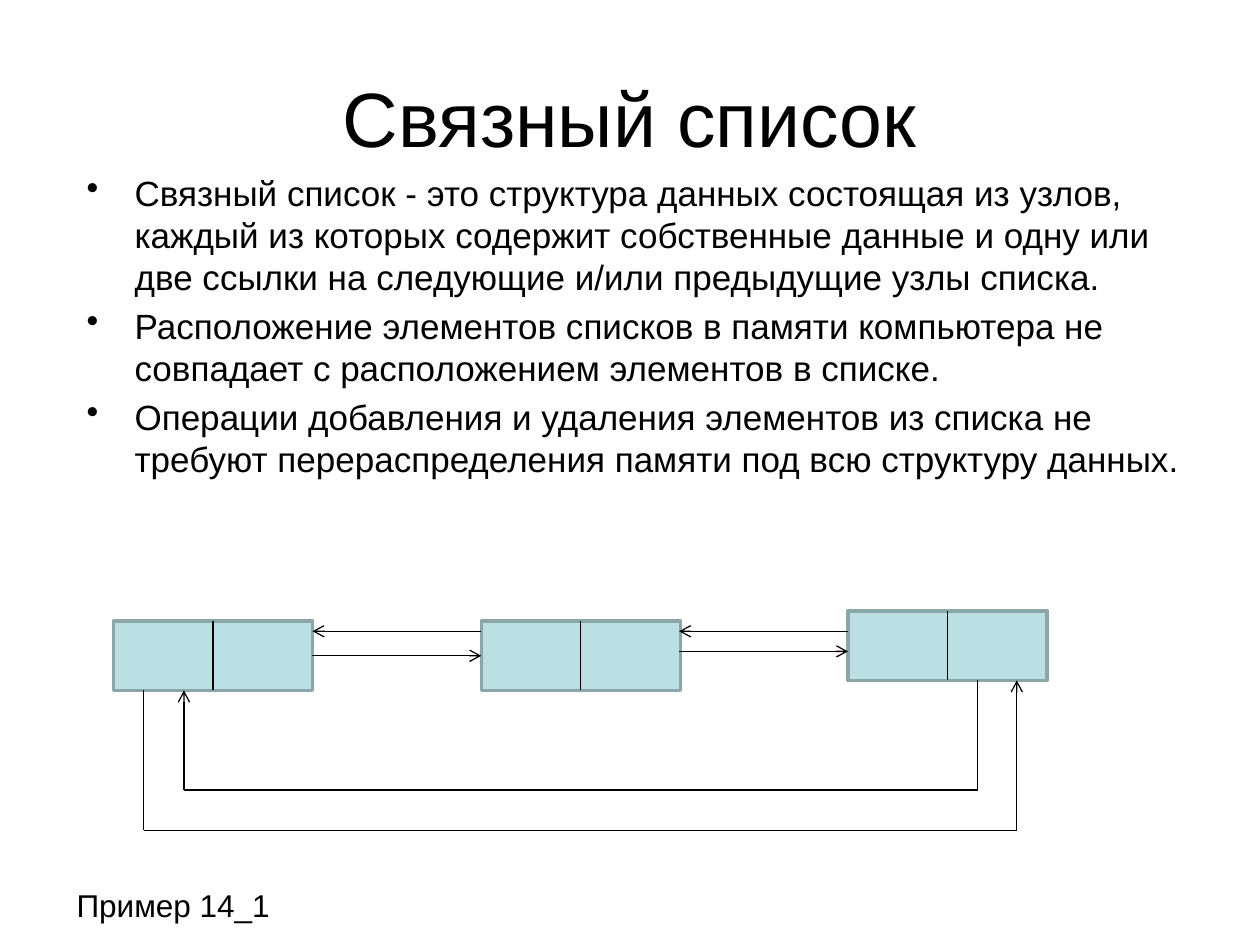
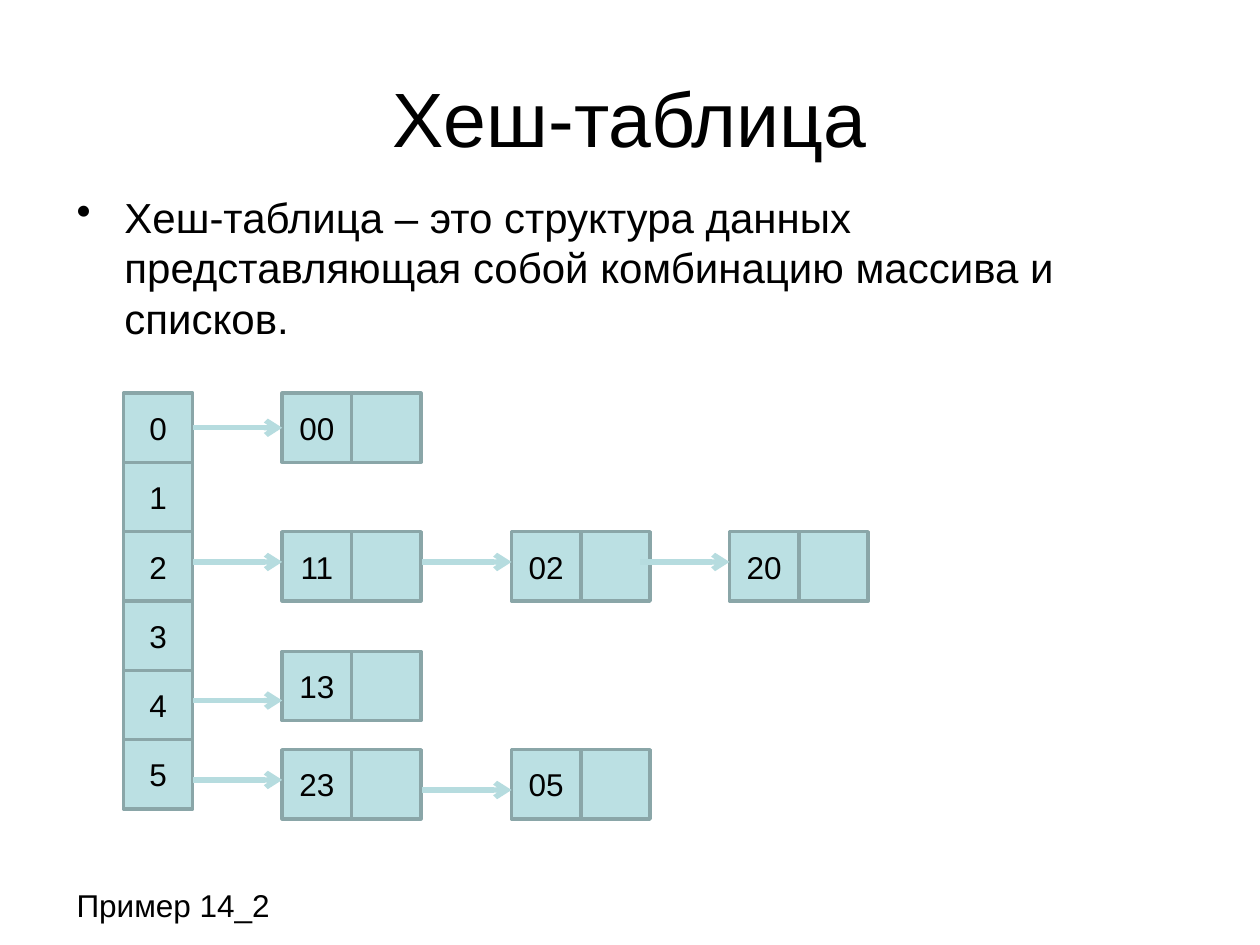
from lxml import etree
from pptx import Presentation
from pptx.dml.color import RGBColor
from pptx.enum.shapes import MSO_CONNECTOR, MSO_SHAPE
from pptx.enum.text import MSO_ANCHOR, PP_ALIGN
from pptx.oxml.ns import qn
from pptx.util import Inches, Pt

STRAIGHT = MSO_CONNECTOR.STRAIGHT
RECTANGLE = MSO_SHAPE.RECTANGLE
MIDDLE = MSO_ANCHOR.MIDDLE
CENTER = PP_ALIGN.CENTER
LEFT_SIDE, RIGHT_SIDE = 1, 3

FONT = "Arial"
COLORS = {"text": "000000", "fill": "BBE0E3", "border": "8AA6A8", "arrow": "B6DCDF"}
CELL = 0.55

SLIDES = [
    {"title": "Связный список", "body_at": (0.59, 1.31, 9, 2.87), "body_size": 20,
     "bullets": [
         "Связный список - это структура данных состоящая из узлов, каждый из которых "
         "содержит собственные данные и одну или две ссылки на следующие и/или "
         "предыдущие узлы списка.",
         "Расположение элементов списков в памяти компьютера не совпадает с "
         "расположением элементов в списке.",
         "Операции добавления и удаления элементов из списка не требуют "
         "перераспределения памяти под всю структуру данных."],
     "example": "Пример 14_1"},
    {"title": "Хеш-таблица", "body_at": (0.51, 1.47, 9, 4.95), "body_size": 24,
     "bullets": [
         "Хеш-таблица – это структура данных представляющая собой комбинацию массива "
         "и списков."],
     "example": "Пример 14_2"},
]


def add_box(shapes, left, top, width, text=""):
    box = shapes.add_shape(RECTANGLE, Inches(left), Inches(top), Inches(width), Inches(CELL))
    box.shadow.inherit = False
    box.fill.solid()
    box.fill.fore_color.rgb = RGBColor.from_string(COLORS["fill"])
    box.line.color.rgb = RGBColor.from_string(COLORS["border"])
    box.line.width = Pt(2)
    if text:
        box.text_frame.text = text
        box.text_frame.vertical_anchor = MIDDLE
        paragraph = box.text_frame.paragraphs[0]
        paragraph.alignment = CENTER
        paragraph.font.name = FONT
        paragraph.font.size = Pt(18)
        paragraph.font.color.rgb = RGBColor.from_string(COLORS["text"])
    return box


def add_line(shapes, start, end, arrow=False, color="text", width=0.75):
    line = shapes.add_connector(STRAIGHT, *[Inches(value) for value in start + end])
    line.line.color.rgb = RGBColor.from_string(COLORS[color])
    line.line.width = Pt(width)
    properties = line._element.spPr
    if arrow:
        etree.SubElement(properties.find(qn("a:ln")), qn("a:tailEnd"), type="arrow")
    etree.SubElement(properties, qn("a:effectLst"))
    return line


presentation = Presentation()
presentation.slide_width = Inches(10)
presentation.slide_height = Inches(7.5)

# Title, bullets and example label of every slide
for content in SLIDES:
    slide = presentation.slides.add_slide(presentation.slide_layouts[6])
    text_blocks = [
        ("title", (0.5, 0.3, 9, 1.25), [content["title"]], 44),
        ("body", content["body_at"], content["bullets"], content["body_size"]),
        ("example", (0.51, 6.98, 2.36, 0.4), [content["example"]], 18),
    ]
    for role, position, lines, size in text_blocks:
        text_box = slide.shapes.add_textbox(*[Inches(value) for value in position])
        frame = text_box.text_frame
        frame.word_wrap = True
        frame.text = "\n".join(lines)
        if role == "title":
            frame.vertical_anchor = MIDDLE
        for paragraph in frame.paragraphs:
            paragraph.font.name = FONT
            paragraph.font.size = Pt(size)
            paragraph.font.color.rgb = RGBColor.from_string(COLORS["text"])
            if role == "title":
                paragraph.alignment = CENTER
            elif role == "body":
                paragraph.space_before = Pt(size * 0.2)
                bullet = paragraph._p.get_or_add_pPr()
                bullet.set("marL", str(Inches(0.38)))
                bullet.set("indent", str(-Inches(0.38)))
                etree.SubElement(bullet, qn("a:buChar"), char="•")

list_slide, hash_slide = presentation.slides

# Linked list: nodes split in two halves
NODE_WIDTH = 1.58
nodes = []
for left, top in [(0.9, 4.93), (3.82, 4.93), (6.73, 4.85)]:
    group = list_slide.shapes.add_group_shape()
    nodes.append(add_box(group.shapes, left, top, NODE_WIDTH))
    middle = left + NODE_WIDTH / 2
    add_line(group.shapes, (middle, top), (middle, top + CELL))

# Linked list: links to the next and the previous node
next_link = add_line(list_slide.shapes, (2.48, 5.21), (3.82, 5.21), arrow=True)
next_link.begin_connect(nodes[0], RIGHT_SIDE)
next_link.end_connect(nodes[1], LEFT_SIDE)
add_line(list_slide.shapes, (5.39, 5.17), (6.73, 5.17), arrow=True)
for start, end in [(3.82, 2.48), (6.73, 5.39)]:
    add_line(list_slide.shapes, (start, 5.01), (end, 5.01), arrow=True)

# Linked list: loops between the first and the last node
for route in [
    [(1.14, 5.48), (1.14, 6.59), (8.07, 6.59), (8.07, 5.4)],
    [(7.76, 5.4), (7.76, 6.27), (1.46, 6.27), (1.46, 5.48)],
]:
    for start, end in zip(route, route[1:]):
        add_line(list_slide.shapes, start, end, arrow=end == route[-1])

# Hash table: array of buckets
buckets = [add_box(hash_slide.shapes, 0.98, 3.12 + index * CELL, CELL, str(index))
           for index in range(6)]

# Hash table: chains of value and pointer cells
COLUMNS = [2.24, 4.06, 5.79]
value_cells = {}
for top, values in [(3.12, ["00"]), (4.22, ["11", "02", "20"]),
                    (5.17, ["13"]), (5.95, ["23", "05"])]:
    for left, value in zip(COLUMNS, values):
        group = hash_slide.shapes.add_group_shape()
        value_cells[value] = add_box(group.shapes, left, top, CELL, value)
        add_box(group.shapes, left + CELL, top, CELL)

# Hash table: arrows of equal length
ARROW_LENGTH = 0.71
arrows = [
    add_line(hash_slide.shapes, (left, top), (left + ARROW_LENGTH, top), True, "arrow", 3)
    for left, top in [(1.53, 3.4), (1.53, 4.46), (1.53, 5.56), (1.53, 6.19),
                      (3.35, 6.27), (3.35, 4.46), (5.08, 4.46)]
]
arrows[0].begin_connect(buckets[0], RIGHT_SIDE)
arrows[0].end_connect(value_cells["00"], LEFT_SIDE)

presentation.save("out.pptx")
